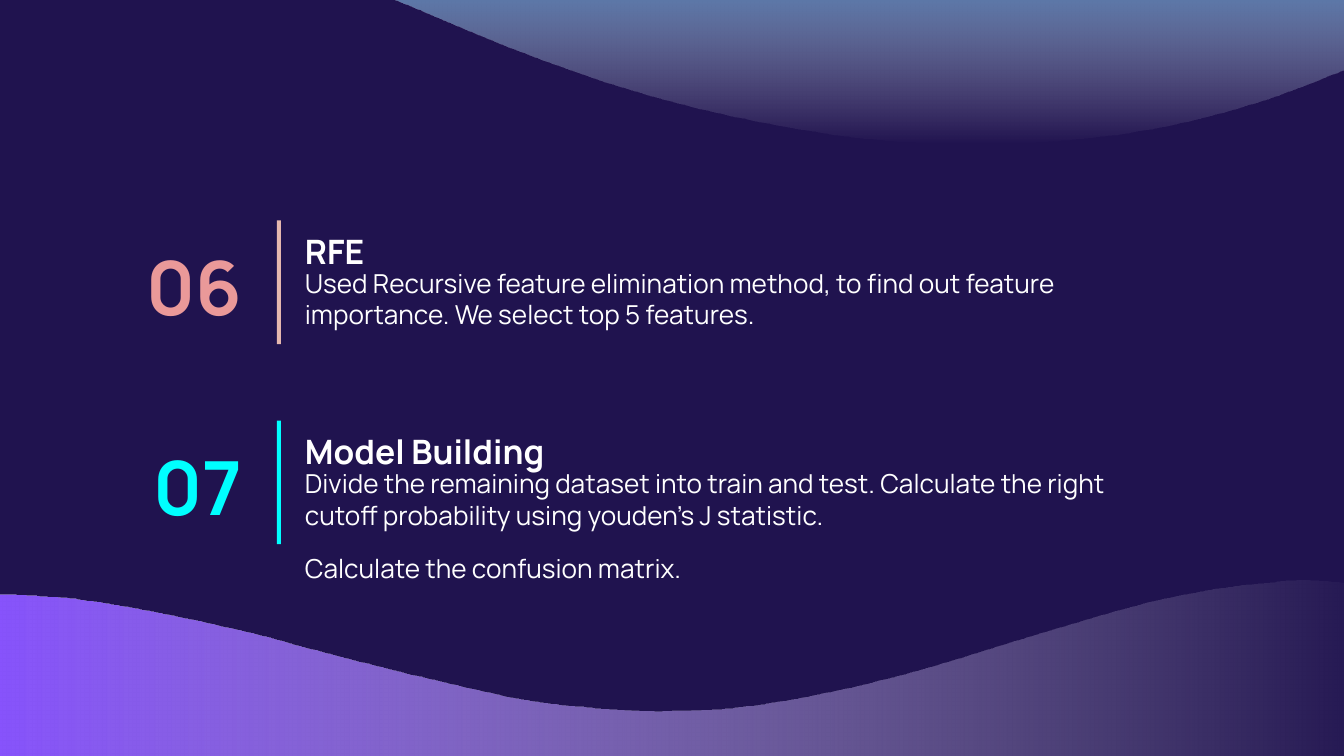
from pptx import Presentation
from pptx.dml.color import RGBColor
from pptx.enum.shapes import MSO_SHAPE
from pptx.enum.text import MSO_ANCHOR, MSO_AUTO_SIZE, PP_ALIGN
from pptx.oxml.ns import qn
from pptx.util import Inches, Pt
from lxml.etree import SubElement

THEME = {
    "font": "Manrope",
    "background": "20134F", "text": "FFFFFF", "fade": "FFFFFF",
    "lower_wave": "8854FD", "upper_wave": "369ADE",
    "number_size": 40, "heading_size": 18, "body_size": 14,
}

# Columns and rows of the step list, in inches
NUMBER_LEFT, BAR_LEFT, TEXT_LEFT = 0.89, 2.06, 2.17
NUMBER_WIDTH, BAR_WIDTH, HEADING_WIDTH, BODY_WIDTH = 1.01, 0.03, 2.76, 6.54
FIRST_ROW, ROW_STEP, BAR_HEIGHT = 1.64, 1.49, 0.92
HEADING_HEIGHT = 0.37

STEPS = [
    ("06", "EA9999", "E6B8AF", "RFE",
     ["Used Recursive feature elimination method, to find out feature "
      "importance. We select top 5 features."], 0.67),
    ("07", "00FFFF", "00FFFF", "Model Building",
     ["Divide the remaining dataset into train and test. Calculate the right "
      "cutoff probability using youden’s J statistic.",
      "Calculate the confusion matrix."], 1.09),
]

# Crest knots, closing edge, colour and gradient angle of each wave
WAVES = [
    ([(-0.04, 4.42), (0.5, 4.45), (1.03, 4.53), (1.79, 4.69), (2.55, 4.89),
      (3.32, 5.08), (3.93, 5.21), (4.47, 5.27), (4.93, 5.29), (5.53, 5.26),
      (6.18, 5.15), (6.83, 4.99), (7.72, 4.72), (8.48, 4.5), (9.01, 4.39),
      (9.4, 4.34), (9.74, 4.32), (10.3, 4.36)], 6.19, THEME["lower_wave"], 0),
    ([(0.01, -0.57), (0.56, -0.63), (1.18, -0.58), (1.79, -0.44),
      (2.42, -0.22), (3.04, 0.04), (3.79, 0.35), (4.48, 0.6), (5.18, 0.8),
      (5.9, 0.95), (6.56, 1.04), (7.23, 1.07), (7.95, 1.04), (8.66, 0.94),
      (9.35, 0.76), (9.94, 0.54), (10.35, 0.35)], -0.8, THEME["upper_wave"], 270),
]


def smooth_curve(knots, samples=8):
    """Return points of a Catmull-Rom spline through the knots."""
    padded = [knots[0], *knots, knots[-1]]
    points = []
    for a, b, c, d in zip(padded, padded[1:], padded[2:], padded[3:]):
        for i in range(samples):
            t = i / samples
            points.append(tuple(
                (2 * q + (r - p) * t + (2 * p - 5 * q + 4 * r - s) * t ** 2
                 + (3 * q - p - 3 * r + s) * t ** 3) / 2
                for p, q, r, s in zip(a, b, c, d)))
    return points + [knots[-1]]


def write_text(box, frame, paragraphs, size, color, bold=False):
    """Place the box at frame (left, top, width, height) and style its text."""
    box.left, box.top, box.width, box.height = map(Inches, frame)
    text = box.text_frame
    text.word_wrap = True
    text.auto_size = MSO_AUTO_SIZE.NONE
    text.margin_left = text.margin_right = Inches(0.1)
    text.margin_top = text.margin_bottom = Inches(0.1)
    text.text = "\n".join(paragraphs)
    for paragraph in text.paragraphs:
        font = paragraph.runs[0].font
        font.name, font.size, font.bold = THEME["font"], Pt(size), bold
        font.color.rgb = RGBColor.from_string(color)
    return text


prs = Presentation()
prs.slide_width = Inches(10)
prs.slide_height = prs.slide_width * 9 // 16
slide = prs.slides.add_slide(prs.slide_layouts[5])
shapes = slide.shapes
slide.background.fill.solid()
slide.background.fill.fore_color.rgb = RGBColor.from_string(THEME["background"])

for knots, edge, color, angle in WAVES:
    crest = smooth_curve(knots)
    outline = [(Inches(x), Inches(y)) for x, y in
               crest + [(knots[-1][0], edge), (knots[0][0], edge)]]
    builder = shapes.build_freeform(*outline[0])
    builder.add_line_segments(outline[1:], close=True)
    wave = builder.convert_to_shape()
    wave.shadow.inherit = False
    wave.line.fill.background()
    wave.fill.gradient()
    wave.fill.gradient_angle = angle
    for stop, stop_color in zip(wave.fill.gradient_stops, (color, THEME["fade"])):
        stop.position = 0 if stop_color == color else 1
        stop.color.rgb = RGBColor.from_string(stop_color)
    faded = wave._element.xpath(".//a:gs/a:srgbClr")[-1]
    SubElement(faded, qn("a:alpha"), val="0")

for row, (number, number_color, bar_color, heading, body, body_height) in enumerate(STEPS):
    top = FIRST_ROW + row * ROW_STEP
    number_box = shapes.title if row == 0 else shapes.add_textbox(0, 0, 0, 0)
    number_text = write_text(number_box, (NUMBER_LEFT, top, NUMBER_WIDTH, BAR_HEIGHT),
                             [number], THEME["number_size"], number_color, bold=True)
    number_text.vertical_anchor = MSO_ANCHOR.BOTTOM
    number_text.paragraphs[0].alignment = PP_ALIGN.RIGHT

    heading_text = write_text(shapes.add_textbox(0, 0, 0, 0),
                              (TEXT_LEFT, top - 0.07, HEADING_WIDTH, HEADING_HEIGHT),
                              [heading], THEME["heading_size"], THEME["text"], bold=True)
    heading_text.paragraphs[0].line_spacing = 1.15

    body_text = write_text(shapes.add_textbox(0, 0, 0, 0),
                           (TEXT_LEFT, top + 0.25, BODY_WIDTH, body_height),
                           body, THEME["body_size"], THEME["text"])
    for paragraph in body_text.paragraphs[1:]:
        paragraph.space_before = Pt(12)

    bar = shapes.add_shape(MSO_SHAPE.RECTANGLE, Inches(BAR_LEFT), Inches(top),
                           Inches(BAR_WIDTH), Inches(BAR_HEIGHT))
    bar.shadow.inherit = False
    bar.fill.solid()
    bar.fill.fore_color.rgb = RGBColor.from_string(bar_color)
    bar.line.fill.background()

prs.save("out.pptx")
